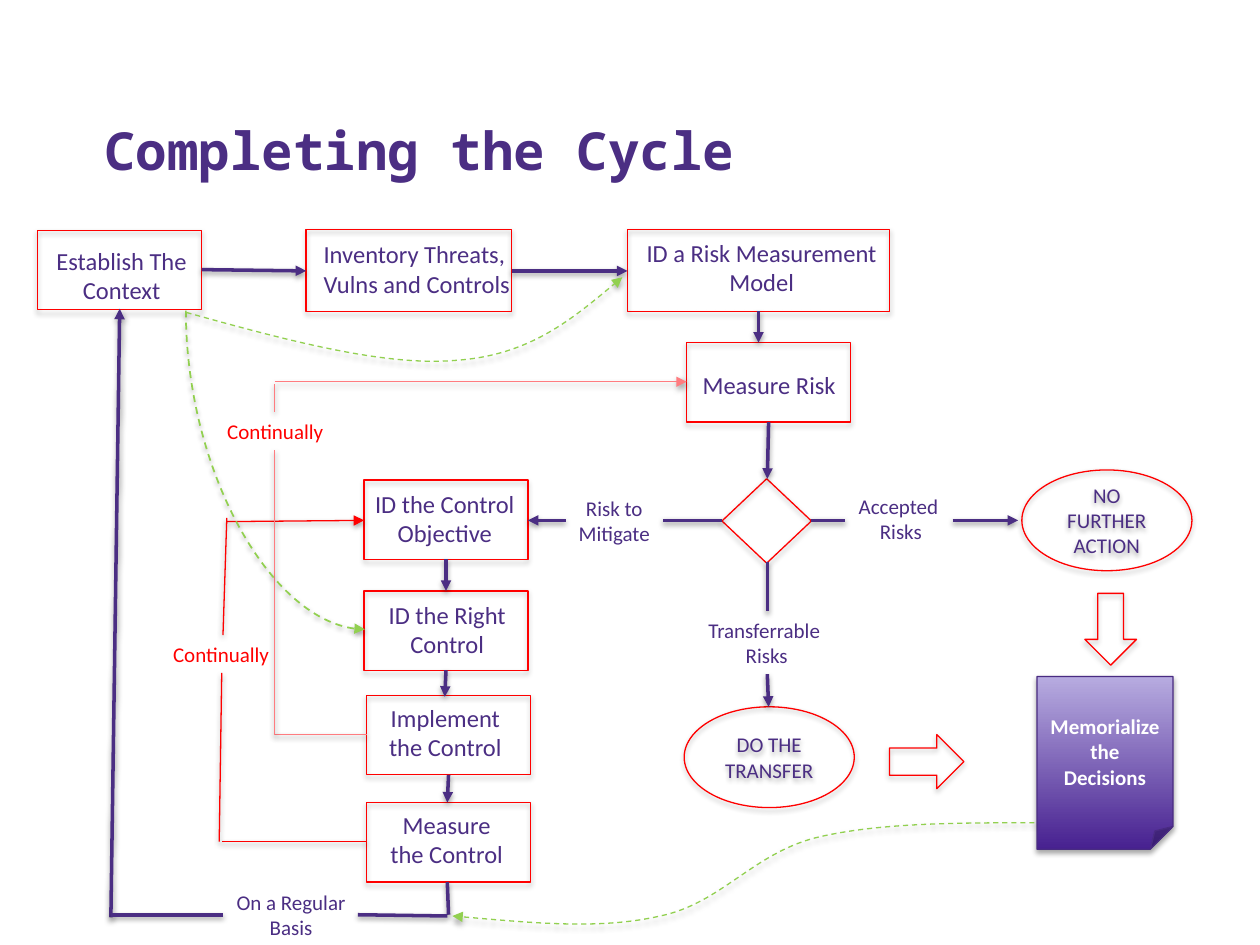
from lxml import etree
from pptx import Presentation
from pptx.dml.color import RGBColor
from pptx.enum.dml import MSO_LINE
from pptx.enum.shapes import MSO_CONNECTOR, MSO_SHAPE
from pptx.enum.text import MSO_ANCHOR, PP_ALIGN
from pptx.oxml.ns import qn
from pptx.util import Emu, Inches, Pt

PURPLE, RED, PINK, GREEN, WHITE = "4B2E83", "FF0000", "FF7C80", "92D050", "FFFFFF"
BOX_W, BOX_H = 1.3, 0.63

STEPS = [
    ((0.3, 1.83, BOX_W, BOX_H), (0.34, 1.9, 1.25, 0.57), ["Establish The", "Context"]),
    ((2.43, 1.82, 1.63, 0.65), (2.47, 1.85, 1.7, 0.57), ["Inventory Threats,", "Vulns and Controls"]),
    ((4.98, 1.82, 2.08, 0.65), (5.02, 1.84, 2.05, 0.57), ["ID a Risk Measurement", "Model"]),
    ((5.45, 2.72, BOX_W, BOX_H), (5.47, 2.89, 1.27, 0.34), ["Measure Risk"]),
    ((2.89, 3.81, BOX_W, BOX_H), (2.87, 3.83, 1.32, 0.57), ["ID the Control", "Objective"]),
    ((2.89, 4.69, BOX_W, BOX_H), (2.98, 4.71, 1.14, 0.57), ["ID the Right", "Control"]),
    ((2.91, 5.52, BOX_W, BOX_H), (2.98, 5.53, 1.11, 0.57), ["Implement", "the Control"]),
    ((2.91, 6.37, BOX_W, BOX_H), (2.99, 6.38, 1.11, 0.57), ["Measure", "the Control"]),
]
LABELS = [
    ((6.71, 3.87, 0.88, 0.5), ["Accepted ", "Risks"], PURPLE),
    ((5.52, 4.85, 1.13, 0.5), ["Transferrable ", "Risks"], PURPLE),
    ((4.49, 3.88, 0.77, 0.5), ["Risk to", "Mitigate"], PURPLE),
    ((1.77, 7.01, 1.08, 0.5), ["On a Regular", "Basis"], PURPLE),
    ((1.27, 5.04, 0.97, 0.3), ["Continually"], RED),
    ((1.7, 3.27, 0.97, 0.3), ["Continually"], RED),
]
OUTLINES = [
    (MSO_SHAPE.DIAMOND, (5.73, 3.8, 0.71, 0.67), ""),
    (MSO_SHAPE.OVAL, (8.11, 3.73, 1.35, 0.8), "NO FURTHER ACTION"),
    (MSO_SHAPE.OVAL, (5.43, 5.61, 1.35, 0.8), "DO THE TRANSFER"),
    (MSO_SHAPE.RIGHT_ARROW, (7.06, 5.83, 0.59, 0.43), ""),
    (MSO_SHAPE.DOWN_ARROW, (8.61, 4.71, 0.41, 0.57), ""),
]
ARROWS = {
    (PURPLE, 2): [
        (7.56, 4.13, 8.08, 4.13), (1.6, 2.14, 2.43, 2.15), (4.06, 2.15, 4.98, 2.15),
        (6.02, 2.47, 6.02, 2.72), (6.1, 3.35, 6.09, 3.8), (6.09, 5.35, 6.1, 5.61),
        (4.49, 4.13, 4.19, 4.13), (3.54, 4.44, 3.54, 4.69), (3.54, 5.32, 3.53, 5.53),
        (3.56, 6.15, 3.55, 6.37), (0.88, 7.28, 0.95, 2.45),
    ],
    (PINK, 0.75): [(2.18, 3.03, 5.45, 3.03)],
    (RED, 0.75): [(1.8, 4.14, 2.89, 4.13)],
}
PLAIN_LINES = {
    (PURPLE, 2): [
        (6.09, 4.46, 6.09, 4.85), (6.44, 4.13, 6.71, 4.13), (5.73, 4.13, 5.26, 4.13),
        (3.55, 7, 3.56, 7.26), (3.55, 7.27, 2.84, 7.26), (1.77, 7.26, 0.88, 7.26),
    ],
    (PINK, 0.75): [
        (2.91, 5.83, 2.18, 5.83), (2.18, 5.83, 2.18, 3.57), (2.18, 3.27, 2.18, 3.05),
    ],
    (RED, 0.75): [
        (2.91, 6.68, 1.76, 6.68), (1.74, 6.68, 1.76, 5.34), (1.77, 5.04, 1.8, 4.11),
    ],
}
CURVES = [
    [(1.48, 2.48), (2.27, 2.7), (3.05, 2.91), (3.62, 2.86),
     (4.2, 2.82), (4.57, 2.51), (4.94, 2.2)],
    [(8.21, 6.53), (7.59, 6.53), (6.96, 6.53), (6.47, 6.65), (5.97, 6.78), (5.72, 7.17),
     (5.24, 7.27), (4.76, 7.38), (4.18, 7.32), (3.59, 7.27)],
]

prs = Presentation()
prs.slide_width, prs.slide_height = Inches(10), Inches(7.5)
s = prs.slides.add_slide(prs.slide_layouts[6])


def inches(values):
    return [Inches(v) for v in values]


def rgb(color):
    return RGBColor.from_string(color)


def add_shadow(sp, alpha=35, dist=1.8):
    props = sp._element.spPr
    effects = props.find(qn("a:effectLst"))
    if effects is None:
        effects = etree.SubElement(props, qn("a:effectLst"))
    outer = etree.SubElement(effects, qn("a:outerShdw"), blurRad=str(Pt(3.1)),
                             dist=str(Pt(dist)), dir="5400000", rotWithShape="0")
    black = etree.SubElement(outer, qn("a:srgbClr"), val="000000")
    etree.SubElement(black, qn("a:alpha"), val=str(alpha * 1000))


def style_line(sp, color, width, arrow=False, dash=False):
    sp.line.color.rgb = rgb(color)
    sp.line.width = Pt(width)
    if dash:
        sp.line.dash_style = MSO_LINE.DASH
    if arrow:
        etree.SubElement(sp.line._get_or_add_ln(), qn("a:tailEnd"), type="triangle")


def write(sp, lines, size, color=PURPLE, bold=False, font="Calibri", align=PP_ALIGN.CENTER):
    tf = sp.text_frame
    tf.text = "\n".join(lines)
    for p in tf.paragraphs:
        p.alignment = align
        p.font.name, p.font.size, p.font.bold = font, Pt(size), bold
        p.font.color.rgb = rgb(color)
    return tf


def add_label(box, lines, size, color=PURPLE, align=PP_ALIGN.CENTER):
    tf = write(s.shapes.add_textbox(*inches(box)), lines, size, color, align=align)
    tf.word_wrap = False


def add_outline(kind, box, text="", color=PURPLE, bold=False, line=RED):
    sp = s.shapes.add_shape(kind, *inches(box))
    sp.fill.background()
    style_line(sp, line, 0.75)
    sp.shadow.inherit = False
    add_shadow(sp)
    if text:
        write(sp, [text], 12, color, bold).vertical_anchor = MSO_ANCHOR.MIDDLE
    return sp


def add_line(ends, color, width, arrow=False, dash=False, kind=MSO_CONNECTOR.STRAIGHT):
    cx = s.shapes.add_connector(kind, *inches(ends))
    style_line(cx, color, width, arrow, dash)
    add_shadow(cx, 38, 1.6)
    return cx


def add_curve(points):
    emu = [inches(pt) for pt in points]
    fb = s.shapes.build_freeform(*emu[0], scale=1.0)
    fb.add_line_segments(emu[1:], close=False)
    sp = fb.convert_to_shape(Emu(0), Emu(0))
    segments = list(sp._element.iter(qn("a:lnTo")))
    outline = segments[0].getparent()
    for i in range(0, len(segments), 3):
        bezier = etree.SubElement(outline, qn("a:cubicBezTo"))
        for segment in segments[i:i + 3]:
            bezier.append(segment[0])
            outline.remove(segment)
    sp.fill.background()
    style_line(sp, GREEN, 0.75, arrow=True, dash=True)
    sp.shadow.inherit = False
    add_shadow(sp)


title = s.shapes.add_textbox(*inches((0.73, 0.41, 8.95, 1.08)))
tf = write(title, ["Completing the Cycle"], 30, bold=True, font="Noto Sans Mono",
           align=PP_ALIGN.LEFT)
tf.word_wrap = True
tf.vertical_anchor = MSO_ANCHOR.BOTTOM

for box, label_box, lines in STEPS:
    add_outline(MSO_SHAPE.RECTANGLE, box)
    left = lines[0].startswith("Inventory")
    add_label(label_box, lines, 14, align=PP_ALIGN.LEFT if left else PP_ALIGN.CENTER)
for kind, box, text in OUTLINES:
    add_outline(kind, box, text)
for box, lines, color in LABELS:
    add_label(box, lines, 12, color)

for group, arrow in ((ARROWS, True), (PLAIN_LINES, False)):
    for (color, width), ends_list in group.items():
        for ends in ends_list:
            add_line(ends, color, width, arrow)

note = add_outline(MSO_SHAPE.FOLDED_CORNER, (8.23, 5.37, 1.08, 1.37),
                   "Memorialize the Decisions", WHITE, True, "492B82")
note.fill.gradient()
note.fill.gradient_angle = 90
for stop, color in zip(note.fill.gradient_stops, ("472190", "B7ABE0")):
    stop.color.rgb = rgb(color)

context_link = add_line((3.45, 3.02, 0.92, 4.44), GREEN, 1, True, True, MSO_CONNECTOR.CURVE)
props = context_link._element.spPr
props.find(qn("a:xfrm")).set("rot", str(270 * 60000))
props.find(qn("a:prstGeom")).set("prst", "curvedConnector2")
for points in CURVES:
    add_curve(points)

prs.save("out.pptx")
